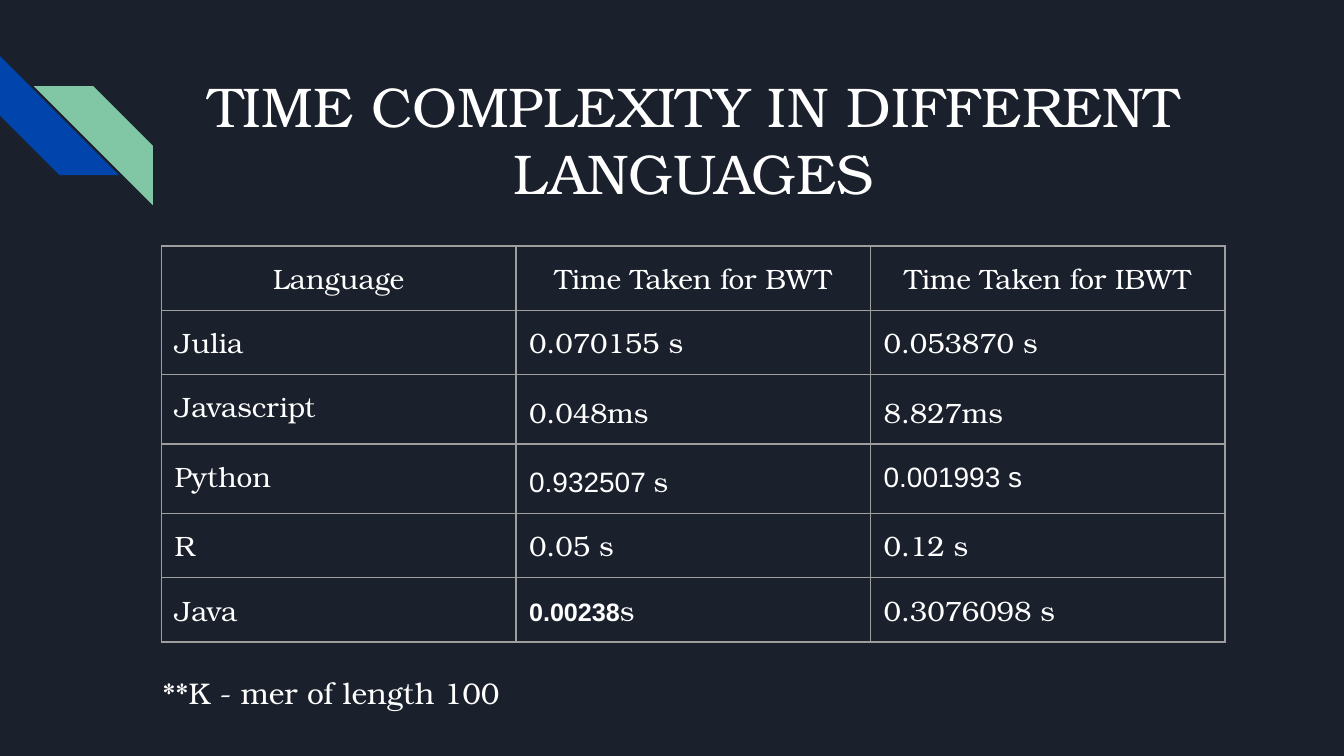
from lxml import etree
from pptx import Presentation
from pptx.dml.color import RGBColor
from pptx.enum.shapes import MSO_SHAPE
from pptx.enum.text import MSO_ANCHOR, MSO_AUTO_SIZE, PP_ALIGN
from pptx.oxml.ns import qn
from pptx.util import Cm, Pt

STRIPE = MSO_SHAPE.DIAGONAL_STRIPE
TOP = MSO_ANCHOR.TOP
NO_AUTOFIT = MSO_AUTO_SIZE.NONE
LEFT, CENTER = PP_ALIGN.LEFT, PP_ALIGN.CENTER

SERIF, SANS = "TeX Gyre Bonum", "Arial"
NAVY, WHITE, BLUE, GREEN, GREY = "1B212C", "FFFFFF", "0145AC", "82C7A5", "9E9E9E"
INSET = Cm(0.25)

HEADERS = ["Language", "Time Taken for BWT", "Time Taken for IBWT"]
# Each cell is a list of runs: (text, font, size, bold), the last three optional
TIMINGS = [
    [[("Julia",)], [("0.070155 s",)], [("0.053870 s",)]],
    [[("Javascript",)], [("0.048ms",)], [("8.827ms",)]],
    [[("Python",)], [("0.932507 ", SANS), ("s",)], [("0.001993 s", SANS)]],
    [[("R",)], [("0.05 s",)], [("0.12 s",)]],
    [[("Java",)], [("0.00238", SANS, 13.5, True), ("s",)], [("0.3076098 s",)]],
]
LOOSE_LANGUAGES = ("Javascript", "Python")  # their timings have wider line spacing


def rgb(value):
    return RGBColor.from_string(value)


def add_run(p, text, font=SERIF, size=15, bold=False):
    r = p.add_run()
    r.text = text
    r.font.name = font
    r.font.size = Pt(size)
    r.font.bold = bold
    r.font.color.rgb = rgb(WHITE)


def set_insets(target):
    target.margin_left = target.margin_right = INSET
    target.margin_top = target.margin_bottom = INSET


def place(sp, left, top, width, height):
    sp.left, sp.top, sp.width, sp.height = Cm(left), Cm(top), Cm(width), Cm(height)


def fill_text(sp, text, size, align):
    tf = sp.text_frame
    tf.word_wrap = True
    tf.auto_size = NO_AUTOFIT
    tf.vertical_anchor = TOP
    set_insets(tf)
    p = tf.paragraphs[0]
    p.alignment = align
    add_run(p, text, size=size)


def add_stripe(s, left, top, rotation, color):
    sp = s.shapes.add_shape(STRIPE, Cm(left), Cm(top), Cm(2.25), Cm(2.25))
    sp.rotation = rotation
    sp.shadow.inherit = False
    sp.fill.solid()
    sp.fill.fore_color.rgb = rgb(color)
    sp.line.fill.background()


def add_borders(cell):
    tc_pr = cell._tc.get_or_add_tcPr()
    for i, side in enumerate(("a:lnL", "a:lnR", "a:lnT", "a:lnB")):
        ln = etree.Element(qn(side), w=str(Pt(0.75)))
        fill = etree.SubElement(ln, qn("a:solidFill"))
        etree.SubElement(fill, qn("a:srgbClr"), val=GREY)
        tc_pr.insert(i, ln)  # borders come before the fill


def fill_cell(cell, runs, align=LEFT, spacing=None):
    set_insets(cell)
    cell.vertical_anchor = TOP
    cell.fill.background()
    add_borders(cell)
    p = cell.text_frame.paragraphs[0]
    p.alignment = align
    p.line_spacing = spacing
    for run in runs:
        add_run(p, *run)


def add_timing_table(s):
    rows, cols = len(TIMINGS) + 1, len(HEADERS)
    frame = s.shapes.add_table(rows, cols, Cm(3.05), Cm(4.65),
                               Cm(6.7) * cols, Cm(1.07) * rows)
    table = frame.table
    table.first_row = table.horz_banding = False
    for c, header in enumerate(HEADERS):
        fill_cell(table.cell(0, c), [(header,)], CENTER)
    for r, row in enumerate(TIMINGS, start=1):
        loose = row[0][0][0] in LOOSE_LANGUAGES
        for c, runs in enumerate(row):
            fill_cell(table.cell(r, c), runs, spacing=1.15 if loose and c else None)


def main():
    prs = Presentation()
    prs.slide_width, prs.slide_height = Cm(25.4), Cm(14.29)
    s = prs.slides.add_slide(prs.slide_layouts[5])
    s.background.fill.solid()
    s.background.fill.fore_color.rgb = rgb(NAVY)

    # Corner decoration
    add_stripe(s, 0, 1.06, 270, BLUE)
    add_stripe(s, 0.64, 1.63, 90, GREEN)

    # Title
    title = s.shapes.title
    place(title, 2.29, 1.1, 21.64, 2.54)
    fill_text(title, "TIME COMPLEXITY IN DIFFERENT LANGUAGES", 30, CENTER)

    # Timings and footnote
    add_timing_table(s)
    note = s.shapes.add_textbox(Cm(2.82), Cm(12.5), Cm(20.93), Cm(0.85))
    fill_text(note, "**K - mer of length 100", 16, LEFT)

    prs.save("out.pptx")


if __name__ == "__main__":
    main()
